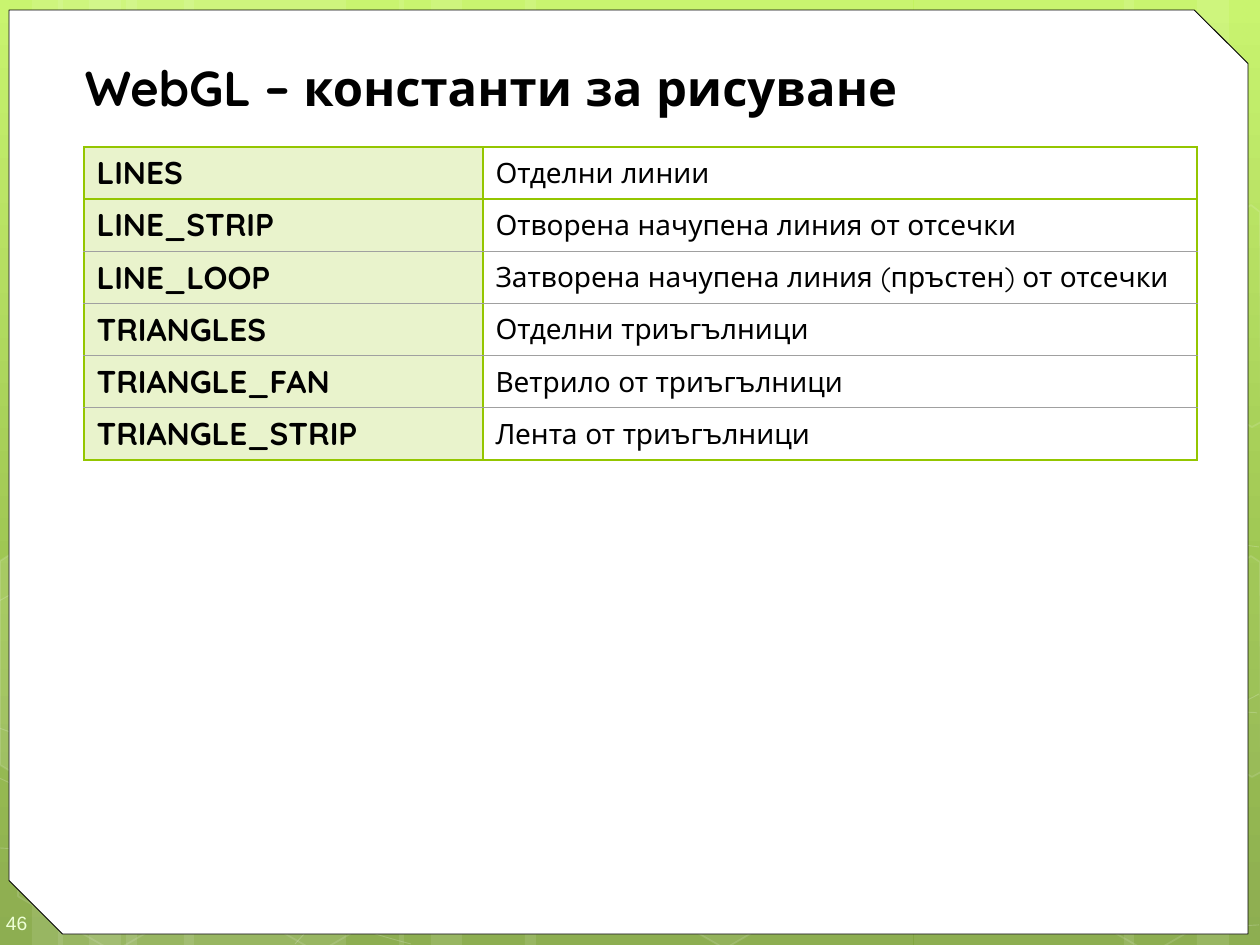
import copy

import pptx
import pptx.util
from lxml import etree
from pptx.dml.color import RGBColor
from pptx.enum.shapes import MSO_SHAPE
from pptx.enum.text import MSO_ANCHOR, MSO_AUTO_SIZE, PP_ALIGN
from pptx.oxml.ns import qn

EMU_PER_PX = 914400 / 126
WIDTH, HEIGHT = 1260, 945
FONT = "Quicksand"

WHITE = RGBColor(0xFF, 0xFF, 0xFF)
BLACK = RGBColor(0x00, 0x00, 0x00)
GREEN = RGBColor(0x94, 0xC6, 0x00)
GRAY = RGBColor(0xA0, 0xA0, 0xA0)
PALE_GREEN = RGBColor(0xEE, 0xFF, 0xD6)
BACKDROP = [(0, RGBColor(0xC3, 0xF3, 0x5F)), (0.62, RGBColor(0x93, 0xBF, 0x3F)),
            (1, RGBColor(0x81, 0xA5, 0x3E))]

# Full-height light bands: left, width
BANDS = [(126, 220), (0, 63), (32, 105), (184, 220), (58, 63), (89, 105),
         (914, 220), (1197, 63), (1124, 105), (525, 388), (399, 63), (431, 105)]

# Bezier chains: a start point, then three points per segment
CURVES = [
    [(-1, 848), (67, 852), (135, 856), (229, 854), (324, 853), (440, 851), (567, 838),
     (693, 825), (872, 801), (987, 777), (1103, 753), (1221, 716), (1259, 694)],
    [(-1, 601), (35, 581), (71, 562), (142, 543), (214, 524), (315, 496), (427, 488),
     (539, 479), (675, 478), (814, 488), (953, 498), (1183, 537), (1259, 547)],
    [(-3, 777), (149, 847), (301, 916), (411, 944)],
    [(-1, 728), (38, 742), (77, 756), (151, 776), (224, 795), (334, 827), (438, 848),
     (544, 869), (677, 892), (781, 905), (885, 919), (997, 924), (1063, 927),
     (1130, 932), (1148, 930), (1181, 930), (1212, 929), (1236, 926), (1259, 925)],
    [(295, 944), (318, 919), (339, 893), (370, 871), (401, 848), (442, 823), (478, 805),
     (513, 788), (534, 780), (581, 767), (627, 755), (712, 737), (756, 728),
     (800, 719), (808, 719), (847, 717), (886, 713), (946, 709), (990, 708),
     (1033, 707), (1106, 708), (1106, 708), (1134, 708), (1162, 708), (1189, 708),
     (1213, 709), (1235, 711), (1245, 712), (1256, 713), (1253, 712), (1257, 713)],
]

# Hexagons: left, top, fill opacity, line opacity
HEXAGONS = [(413, 394, 10, 12), (513, 568, 0, 12), (514, 219, 7, 8), (411, 45, 4, 8),
            (615, 742, 6, 12), (4, 745, 0, 12), (8, 393, 7, 8), (107, 568, 0, 12),
            (208, 746, 0, 12), (210, 394, 7, 8), (110, 215, 0, 12), (937, 571, 10, 12),
            (1041, 747, 0, 12), (1041, 396, 7, 8)]

# Hexagons cut by the slide edge: outline, fill opacity
CUT_HEXAGONS = [
    ([(0, 561), (14, 552), (110, 607), (110, 718), (15, 774), (0, 765)], 10),
    ([(1157, 611), (1251, 556), (1260, 562), (1261, 772), (1252, 777), (1155, 722)], 4),
    ([(1157, 261), (1251, 205), (1260, 212), (1261, 422), (1252, 427), (1155, 372)], 0),
]

CONSTANTS = [
    ("LINES", "Отделни линии"),
    ("LINE_STRIP", "Отворена начупена линия от отсечки"),
    ("LINE_LOOP", "Затворена начупена линия (пръстен) от отсечки"),
    ("TRIANGLES", "Отделни триъгълници"),
    ("TRIANGLE_FAN", "Ветрило от триъгълници"),
    ("TRIANGLE_STRIP", "Лента от триъгълници"),
]
COLUMN_WIDTHS = (399, 714)
ROW_HEIGHT = 52


def px(*lengths):
    return [round(length * EMU_PER_PX) for length in lengths]


def set_opacity(solid_fill, percent):
    etree.SubElement(solid_fill[0], qn("a:alpha"), val=str(percent * 1000))


def style_glass(shape, fill_opacity, line_width=0, line_opacity=0):
    """Give a shape translucent white fill and line; zero means none."""
    shape.shadow.inherit = False
    properties = shape._element.spPr
    shape.fill.background()
    shape.line.fill.background()
    if fill_opacity:
        shape.fill.solid()
        shape.fill.fore_color.rgb = WHITE
        set_opacity(properties.find(qn("a:solidFill")), fill_opacity)
    if line_width:
        shape.line.color.rgb = WHITE
        shape.line.width = pptx.util.Pt(line_width)
        set_opacity(properties.find(qn("a:ln")).find(qn("a:solidFill")), line_opacity)


def set_font(paragraph, size, color=BLACK, bold=False, name=FONT):
    font = paragraph.font
    font.name, font.bold = name, bold
    font.size = pptx.util.Pt(size)
    font.color.rgb = color


def add_outline(slide, points, close):
    builder = slide.shapes.build_freeform(*points[0], scale=EMU_PER_PX)
    builder.add_line_segments(points[1:], close=close)
    return builder.convert_to_shape()


def add_curve(slide, chain):
    """Draw a Bezier chain by joining each three line steps into one cubic."""
    curve = add_outline(slide, chain, False)
    steps = list(curve._element.iter(qn("a:lnTo")))
    for start in range(0, len(steps), 3):
        cubic = etree.Element(qn("a:cubicBezTo"))
        steps[start].addprevious(cubic)
        for step in steps[start:start + 3]:
            cubic.append(step[0])
            step.getparent().remove(step)
    return curve


def paint_background(slide):
    fill = slide.background.fill
    fill.gradient()
    fill.gradient_angle = 270
    stop_list = next(slide._element.iter(qn("a:gsLst")))
    stop_list.append(copy.deepcopy(stop_list[-1]))
    for stop, (position, color) in zip(slide.background.fill.gradient_stops, BACKDROP):
        stop.position, stop.color.rgb = position, color


def add_decoration(slide):
    for left, width in BANDS:
        band = slide.shapes.add_shape(MSO_SHAPE.RECTANGLE, *px(left, 0, width, HEIGHT))
        style_glass(band, 10)
    for chain in CURVES:
        style_glass(add_curve(slide, chain), 0, 0.5, 20)
    for left, top, fill_opacity, line_opacity in HEXAGONS:
        hexagon = slide.shapes.add_shape(MSO_SHAPE.HEXAGON, *px(left, top, 220, 192))
        hexagon.adjustments[0] = 0.285
        hexagon.rotation = 30
        style_glass(hexagon, fill_opacity, 1, line_opacity)
    for points, fill_opacity in CUT_HEXAGONS:
        style_glass(add_outline(slide, points, True), fill_opacity, 1, 12)


def add_card(slide):
    card = slide.shapes.add_shape(MSO_SHAPE.SNIP_2_DIAG_RECTANGLE, *px(9, 10, 1239, 924))
    card.adjustments[0], card.adjustments[1] = 0, 0.058
    card.shadow.inherit = False
    card.fill.solid()
    card.fill.fore_color.rgb = WHITE
    card.line.color.rgb = BLACK
    card.line.width = pptx.util.Pt(0.5)


def add_page_number(slide):
    frame = slide.shapes.add_textbox(*px(0, 895, 73, 50)).text_frame
    frame.word_wrap = True
    frame.vertical_anchor = MSO_ANCHOR.MIDDLE
    frame.margin_left, frame.margin_top, frame.margin_right, frame.margin_bottom = px(6, 19, 0, 13)
    frame.text = "46"
    set_font(frame.paragraphs[0], 11, PALE_GREEN, name="Arial")


def place_title(slide):
    title = slide.shapes.title
    title.left, title.top, title.width, title.height = px(63, 51, 1187, 883)
    slide.shapes._spTree.append(title._element)  # in front of the card
    frame = title.text_frame
    frame.text = "WebGL – константи за рисуване"
    frame.auto_size = MSO_AUTO_SIZE.NONE
    frame.vertical_anchor = MSO_ANCHOR.TOP
    frame.margin_left = px(22)[0]
    frame.paragraphs[0].alignment = PP_ALIGN.LEFT
    set_font(frame.paragraphs[0], 28, bold=True)


def add_border(cell, side, color, width):
    border = etree.SubElement(cell._tc.get_or_add_tcPr(), qn(f"a:ln{side}"),
                              w=str(pptx.util.Pt(width)))
    fill = etree.SubElement(border, qn("a:solidFill"))
    etree.SubElement(fill, qn("a:srgbClr"), val=str(color))


def add_constants_table(slide):
    count = len(CONSTANTS)
    table = slide.shapes.add_table(
        count, 2, *px(84, 147, sum(COLUMN_WIDTHS), ROW_HEIGHT * count)).table
    table.first_row = table.horz_banding = False
    for column, width in zip(table.columns, COLUMN_WIDTHS):
        column.width = px(width)[0]
    for index, entry in enumerate(CONSTANTS):
        for cell, text, is_name in zip(table.rows[index].cells, entry, (True, False)):
            cell.text = text
            cell.vertical_anchor = MSO_ANCHOR.MIDDLE
            set_font(cell.text_frame.paragraphs[0], 18 if is_name else 16, bold=is_name)
            # Green frame and first row, thin gray rules between the others
            strong, thin = (GREEN, 1), (GRAY, 0.5)
            add_border(cell, "L", *strong)
            add_border(cell, "R", *strong)
            add_border(cell, "T", *(strong if index < 2 else thin))
            add_border(cell, "B", *(strong if index in (0, count - 1) else thin))
            cell.fill.background()
            if is_name:
                cell.fill.solid()
                cell.fill.fore_color.rgb = GREEN
                set_opacity(cell._tc.tcPr.find(qn("a:solidFill")), 20)


def main():
    deck = pptx.Presentation()
    deck.slide_width, deck.slide_height = px(WIDTH, HEIGHT)
    slide = deck.slides.add_slide(deck.slide_layouts[5])
    for add_part in (paint_background, add_decoration, add_card, add_page_number,
                     place_title, add_constants_table):
        add_part(slide)
    deck.save("out.pptx")


if __name__ == "__main__":
    main()
